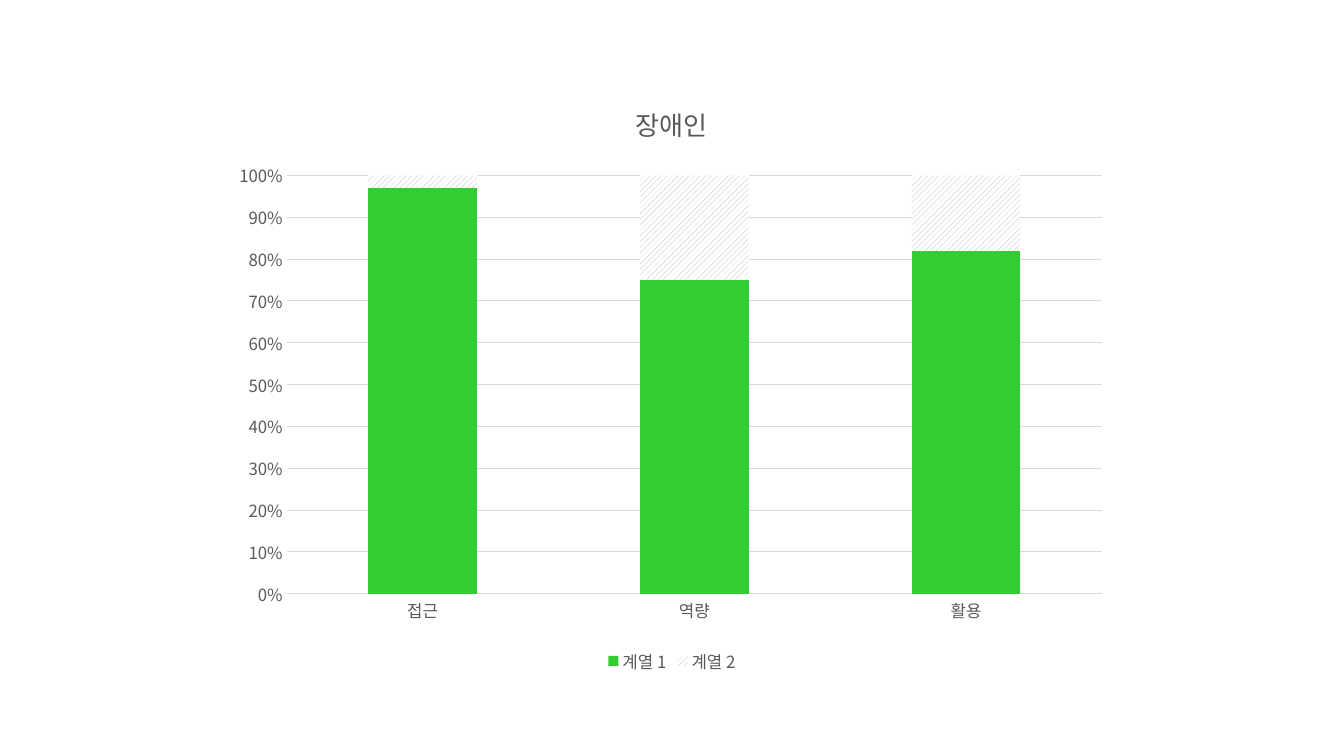
"""Build a slide with a 100 % stacked column chart on digital inclusion of disabled people."""
import dataclasses
import typing

import lxml.etree
import pptx
import pptx.chart.data
import pptx.dml.color
import pptx.enum.chart
import pptx.enum.dml
import pptx.oxml.ns
import pptx.util

Pt = pptx.util.Pt
qn = pptx.oxml.ns.qn
FONT = "Noto Sans CJK KR"
COLOURS = {"green": "33CC33", "hatch": "AFABAB", "paper": "FFFFFF", "text": "595959", "grid": "D9D9D9"}
CATEGORIES = ("접근", "역량", "활용")
PLOT_AREA = {"x": 0.07, "y": 0.16, "w": 0.91, "h": 0.7}


@dataclasses.dataclass(frozen=True)
class Series:
    """One layer of the stacked columns."""

    name: str
    values: tuple[int, ...]
    colour: str
    hatched: bool = False


LAYERS = (
    Series("계열 1", (97, 75, 82), "green"),
    Series("계열 2", (3, 25, 18), "hatch", hatched=True),
)


def rgb(name: str) -> pptx.dml.color.RGBColor:
    """Return the named colour."""
    return pptx.dml.color.RGBColor.from_string(COLOURS[name])


def format_font(font: typing.Any, size: float = 12, colour: str = "text") -> None:
    """Set typeface, size and colour of a font."""
    font.name, font.size, font.bold = FONT, Pt(size), False
    font.color.rgb = rgb(colour)


def write_text(frame: typing.Any, text: str, **style: typing.Any) -> None:
    """Write one formatted span into a text frame."""
    span = frame.paragraphs[0].add_run()
    span.text = text
    format_font(span.font, **style)


def format_line(line: typing.Any) -> None:
    """Draw a thin grey line."""
    line.color.rgb = rgb("grid")
    line.width = Pt(0.75)


def fill_series(fill: typing.Any, layer: Series) -> None:
    """Fill columns with a plain colour or a hatch."""
    if layer.hatched:
        fill.patterned()
        fill.pattern = pptx.enum.dml.MSO_PATTERN.WIDE_UPWARD_DIAGONAL
        fill.fore_color.rgb = rgb(layer.colour)
        fill.back_color.rgb = rgb("paper")
    else:
        fill.solid()
        fill.fore_color.rgb = rgb(layer.colour)


def place_plot(chart: typing.Any) -> None:
    """Fix the inner plot area as fractions of the chart."""
    area = chart.element.find(".//" + qn("c:plotArea"))
    for old in area.findall(qn("c:layout")):
        area.remove(old)
    layout = lxml.etree.Element(qn("c:layout"))
    area.insert(0, layout)
    manual = lxml.etree.SubElement(layout, qn("c:manualLayout"))
    settings = {"layoutTarget": "inner", "xMode": "edge", "yMode": "edge", **PLOT_AREA}
    for tag, value in settings.items():
        lxml.etree.SubElement(manual, qn(f"c:{tag}")).set("val", str(value))


def set_korean_font(chart: typing.Any) -> None:
    """Use the same typeface for East Asian letters."""
    for latin in list(chart.element.iter(qn("a:latin"))):
        korean = lxml.etree.Element(qn("a:ea"))
        korean.set("typeface", FONT)
        latin.addnext(korean)


def format_axes(chart: typing.Any) -> None:
    """Format both axes and the gridlines."""
    for axis in (chart.category_axis, chart.value_axis):
        axis.major_tick_mark = axis.minor_tick_mark = pptx.enum.chart.XL_TICK_MARK.NONE
        format_font(axis.tick_labels.font)
    chart.category_axis.has_major_gridlines = False
    format_line(chart.category_axis.format.line)
    values = chart.value_axis
    values.minimum_scale, values.maximum_scale, values.major_unit = 0, 1, 0.1
    values.format.line.fill.background()
    format_line(values.major_gridlines.format.line)
    values.tick_labels.number_format = "0%"
    values.tick_labels.number_format_is_linked = False


def add_column_chart(page: typing.Any) -> None:
    """Add the stacked columns with title, axes and legend."""
    data = pptx.chart.data.CategoryChartData()
    data.categories = CATEGORIES
    for layer in LAYERS:
        data.add_series(layer.name, layer.values)
    kind = pptx.enum.chart.XL_CHART_TYPE.COLUMN_STACKED_100
    chart = page.shapes.add_chart(kind, Pt(160), Pt(57), Pt(640), Pt(427), data).chart
    format_font(chart.font, size=10)
    chart.has_title = True
    write_text(chart.chart_title.text_frame, "장애인", size=18.6)
    plot = chart.plots[0]
    plot.gap_width, plot.overlap, plot.vary_by_categories = 150, 100, False
    for series, layer in zip(plot.series, LAYERS):
        fill_series(series.format.fill, layer)
    format_axes(chart)
    chart.has_legend = True
    chart.legend.position = pptx.enum.chart.XL_LEGEND_POSITION.BOTTOM
    chart.legend.include_in_layout = False
    format_font(chart.legend.font)
    place_plot(chart)
    set_korean_font(chart)


def main() -> None:
    """Create and save the deck."""
    deck = pptx.Presentation()
    deck.slide_width, deck.slide_height = Pt(960), Pt(540)
    page = deck.slides.add_slide(deck.slide_layouts[6])
    add_column_chart(page)
    deck.save("out.pptx")


if __name__ == "__main__":
    main()
